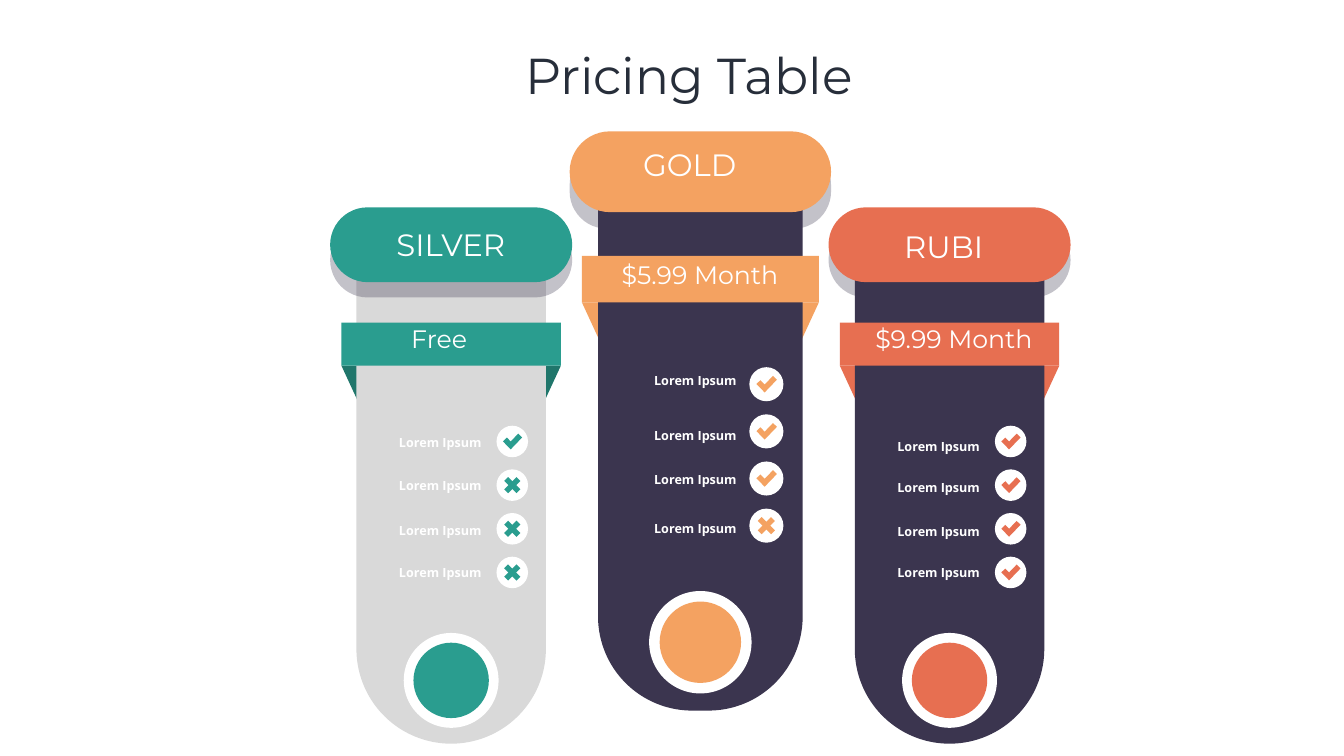
from lxml import etree
from pptx import Presentation, util as u
from pptx.dml.color import RGBColor
from pptx.enum import shapes, text
from pptx.oxml.ns import qn

Cm, Pt = u.Cm, u.Pt
KIND = shapes.MSO_SHAPE
ALIGN = text.PP_ALIGN

THEME = {
    "white": "FFFFFF", "ink": "272E3A", "navy": "3B354F", "grey": "D9D9D9",
    "teal": "2A9D8F", "deep_teal": "20766B", "orange": "F4A261", "coral": "E76F51",
    "icon_pt": 7.82, "shadow_alpha": 30,
    "title": {"size": Pt(72), "name": "Montserrat"},
    "plan": {"size": Pt(44), "name": "Montserrat"},
    "price": {"size": Pt(36), "name": "Montserrat"},
    "feature": {"size": Pt(18), "name": "Open Sans", "bold": True},
}

# Text boxes are (left, top, width, height) in cm
TITLE = ("Pricing Table", (24.64, 2.08, 20.85, 3.33))
FEATURE = "Lorem Ipsum"
PLANS = [
    {"name": ("SILVER", (18.85, 11.23, 7.75, 2.13)),
     "price": ("Free", (18.26, 16.15, 7.75, 1.8)),
     "center": 22.74, "top": 10.45, "scale": 1, "rounding": 0.5,
     "accent": "teal", "fold": "deep_teal", "body": "grey",
     "included": [True, False, False, False],
     "feature_left": 16.99, "feature_tops": [21.79, 23.95, 26.21, 28.37]},
    {"name": ("RUBI", (43.69, 11.33, 7.75, 2.13)),
     "price": ("$9.99 Month", (42.72, 16.18, 10.72, 1.8)),
     "center": 47.86, "top": 10.45, "scale": 1, "rounding": 0.5,
     "accent": "coral", "fold": "coral", "body": "navy",
     "included": [True, True, True, True],
     "feature_left": 42.11, "feature_tops": [22.02, 24.05, 26.26, 28.37]},
    {"name": ("GOLD", (30.89, 7.24, 7.75, 2.13)),
     "price": ("$5.99 Month", (29.92, 12.95, 10.72, 1.8)),
     "center": 35.3, "top": 6.62, "scale": 1.08, "rounding": 0.46,
     "accent": "orange", "fold": "orange", "body": "navy",
     "included": [True, True, True, False],
     "feature_left": 29.85, "feature_tops": [18.67, 21.46, 23.67, 26.11]},
]

# Panel parts at scale 1: (drop below panel top, width, height) in cm
BODY = (0.95, 9.55, 26.08)
SHADOW = (0.77, 12.2, 3.77)
HEADER = (0, 12.2, 3.77)
RING = (21.45, 4.78, 4.78)
CORE = (21.94, 3.8, 3.8)
RIBBON = (5.81, 11.06, 2.17)
FOLD_HEIGHT, FOLD_INSET = 1.71, 0.79
BADGE_SIZE, BADGE_SHIFT, BADGE_DROP, BADGE_PITCH = 1.59, 3.08, 11.8, 2.2
CHECK = [(-0.37, -0.1), (-0.08, 0.2), (0.4, -0.3)]
CROSS_ARM = 0.31


def color(key):
    return RGBColor.from_string(THEME[key])


def paint(shape, fill):
    shape.shadow.inherit = False
    shape.fill.solid()
    shape.fill.fore_color.rgb = color(fill)
    shape.line.fill.background()


def stroke(line, key):
    line.color.rgb = color(key)
    line.width = Pt(THEME["icon_pt"])


def add_text(slide, words, box, style, ink="white", align=ALIGN.CENTER, right=0.25):
    frame = slide.shapes.add_textbox(*map(Cm, box)).text_frame
    frame.word_wrap = True
    frame.margin_right = Cm(right)
    paragraph = frame.paragraphs[0]
    paragraph.text = words
    paragraph.alignment = align
    font = paragraph.runs[0].font
    for attribute, value in THEME[style].items():
        setattr(font, attribute, value)
    font.color.rgb = color(ink)


def add_centered(slide, plan, kind, part, fill, adjustments=()):
    """Add a panel part, scaled and centred on the panel's axis."""
    drop, width, height = (plan["scale"] * value for value in part)
    shape = slide.shapes.add_shape(kind, Cm(plan["center"] - width / 2), Cm(plan["top"] + drop),
                                   Cm(width), Cm(height))
    for index, value in enumerate(adjustments):
        shape.adjustments[index] = value
    paint(shape, fill)
    return shape


def add_outline(slide, points, close):
    corners = [(Cm(x), Cm(y)) for x, y in points]
    builder = slide.shapes.build_freeform(*corners[0])
    builder.add_line_segments(corners[1:], close=close)
    return builder.convert_to_shape()


def add_fold(slide, plan):
    scale, center = plan["scale"], plan["center"]
    half = scale * RIBBON[1] / 2
    inner = half - scale * FOLD_INSET
    top = plan["top"] + scale * (RIBBON[0] + RIBBON[2])
    bottom = top + scale * FOLD_HEIGHT
    fold = add_outline(slide, [(center + half, top), (center - half, top),
                               (center - inner, bottom), (center + inner, bottom)], True)
    paint(fold, plan["fold"])


def add_check(slide, x, y, scale, accent):
    check = add_outline(slide, [(x + scale * dx, y + scale * dy) for dx, dy in CHECK], False)
    check.shadow.inherit = False
    check.fill.background()
    stroke(check.line, accent)
    etree.SubElement(check.line._get_or_add_ln(), qn("a:miter"), lim="800000")


def add_cross(slide, x, y, scale, accent):
    arm = scale * CROSS_ARM
    for side in (-1, 1):
        bar = slide.shapes.add_connector(shapes.MSO_CONNECTOR.STRAIGHT, Cm(x + side * arm),
                                         Cm(y - arm), Cm(x - side * arm), Cm(y + arm))
        stroke(bar.line, accent)
        etree.SubElement(bar._element.spPr, qn("a:effectLst"))


def add_features(slide, plan):
    scale = plan["scale"]
    size = scale * BADGE_SIZE
    x = plan["center"] + scale * BADGE_SHIFT
    for row, (included, text_top) in enumerate(zip(plan["included"], plan["feature_tops"])):
        y = plan["top"] + scale * (BADGE_DROP + row * BADGE_PITCH)
        badge = slide.shapes.add_shape(KIND.OVAL, Cm(x - size / 2), Cm(y - size / 2),
                                       Cm(size), Cm(size))
        paint(badge, "white")
        add_mark = add_check if included else add_cross
        add_mark(slide, x, y, scale, plan["accent"])
        add_text(slide, FEATURE, (plan["feature_left"], text_top, 7.7, 1.02), "feature",
                 align=ALIGN.RIGHT, right=0.42)


def add_panel(slide, plan):
    accent, rounding = plan["accent"], plan["rounding"]
    add_fold(slide, plan)
    add_centered(slide, plan, KIND.ROUND_2_SAME_RECTANGLE, BODY, plan["body"], (0, rounding))
    shadow = add_centered(slide, plan, KIND.ROUNDED_RECTANGLE, SHADOW, "navy", (rounding,))
    tint = shadow._element.spPr.find(qn("a:solidFill"))[0]
    etree.SubElement(tint, qn("a:alpha"), val=str(THEME["shadow_alpha"] * 1000))
    add_centered(slide, plan, KIND.ROUNDED_RECTANGLE, HEADER, accent, (0.5,))
    add_centered(slide, plan, KIND.OVAL, RING, "white")
    add_centered(slide, plan, KIND.OVAL, CORE, accent)
    add_centered(slide, plan, KIND.RECTANGLE, RIBBON, accent)
    add_features(slide, plan)
    add_text(slide, *plan["name"], "plan")
    add_text(slide, *plan["price"], "price")


def main():
    deck = Presentation()
    deck.slide_width, deck.slide_height = Cm(67.74), Cm(38.1)
    slide = deck.slides.add_slide(deck.slide_layouts[6])
    for plan in PLANS:
        add_panel(slide, plan)
    add_text(slide, *TITLE, "title", ink="ink", right=0.92)
    deck.save("out.pptx")


if __name__ == "__main__":
    main()
